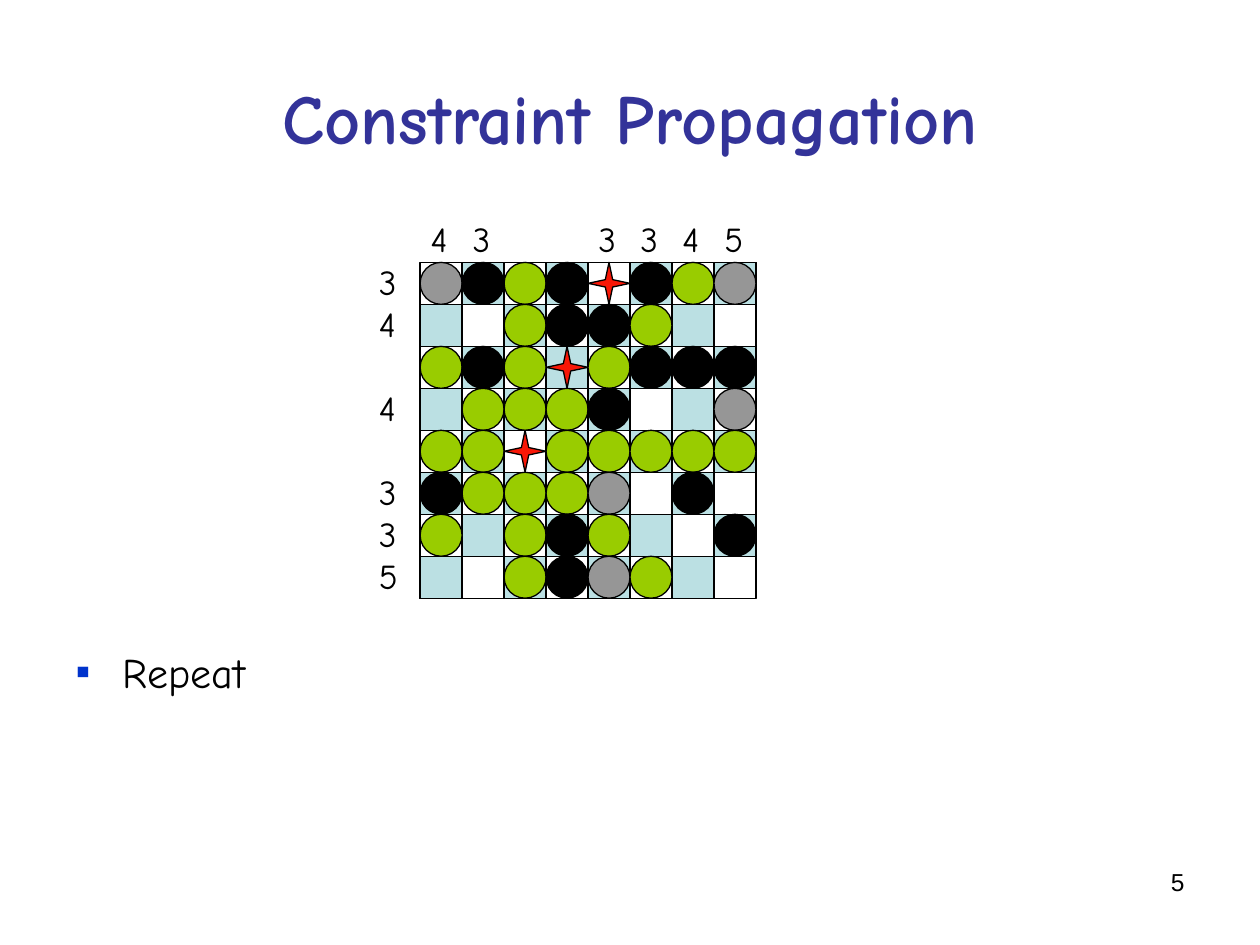
from typing import NamedTuple

from lxml import etree
from pptx import Presentation
from pptx.dml.color import RGBColor
from pptx.enum.shapes import MSO_SHAPE
from pptx.enum.text import MSO_ANCHOR, MSO_AUTO_SIZE, PP_ALIGN
from pptx.oxml.ns import qn
from pptx.util import Cm, Pt

RECT, OVAL, STAR = MSO_SHAPE.RECTANGLE, MSO_SHAPE.OVAL, MSO_SHAPE.STAR_4_POINT
LEFT, MID, RIGHT = PP_ALIGN.LEFT, PP_ALIGN.CENTER, PP_ALIGN.RIGHT
TOP, CENTER = MSO_ANCHOR.TOP, MSO_ANCHOR.MIDDLE
NO_FIT = MSO_AUTO_SIZE.NONE

HEX = {
    "black": "000000",
    "tile": "BBE0E3",
    "green": "99CC00",
    "red": "F81706",
    "gray": "969696",
    "title": "333399",
    "bullet": "0033CC",
}
FONT = "Comic Neue"
COUNT = 8
BOARD_X, BOARD_Y, BOARD = 8.47, 5.29, 6.77
CELL = BOARD / COUNT
ROW_PT = 24


class Box(NamedTuple):
    x: float
    y: float
    w: float
    h: float


class Piece(NamedTuple):
    kind: int
    hue: str


PIECES = {
    "g": Piece(OVAL, "green"),
    "b": Piece(OVAL, "black"),
    "a": Piece(OVAL, "gray"),
    "*": Piece(STAR, "red"),
}
GRID = [
    "abgb*bga",
    "..gbbg..",
    "gbg*gbbb",
    ".gggb..a",
    "gg*ggggg",
    "bggga.b.",
    "g.gbg..b",
    "..gbag..",
]
ROW_SUMS = {0: "3", 1: "4", 3: "4", 5: "3", 6: "3", 7: "5"}
COL_SUMS = {0: "4", 1: "3", 4: "3", 5: "3", 6: "4", 7: "5"}


def color(name: str) -> RGBColor:
    return RGBColor.from_string(HEX[name])


def place(shape, box: Box) -> None:
    shape.left, shape.top = Cm(box.x), Cm(box.y)
    shape.width, shape.height = Cm(box.w), Cm(box.h)


def draw(slide, kind: int, box: Box, hue: str | None):
    """Add an outlined shape; a hue of None leaves it hollow."""
    shape = slide.shapes.add_shape(kind, *(Cm(n) for n in box))
    shape.shadow.inherit = False
    if hue:
        shape.fill.solid()
        shape.fill.fore_color.rgb = color(hue)
    else:
        shape.fill.background()
    shape.line.color.rgb = color("black")
    shape.line.width = Pt(0.75)
    return shape


def cell(row: int, col: int) -> Box:
    return Box(BOARD_X + col * CELL, BOARD_Y + row * CELL, CELL, CELL)


def board(slide) -> None:
    draw(slide, RECT, Box(BOARD_X, BOARD_Y, BOARD, BOARD), None)
    spots = [(row, col) for row in range(COUNT) for col in range(COUNT)]
    for row, col in spots:
        if (row + col) % 2:
            draw(slide, RECT, cell(row, col), "tile")
    for row, col in spots:
        piece = PIECES.get(GRID[row][col])
        if piece:
            shape = draw(slide, piece.kind, cell(row, col), piece.hue)
            if piece.kind == STAR:
                shape.adjustments[0] = 0.125


def write(par, text: str, size: float, hue: str = "black",
          font: str = FONT, bold: bool = False) -> None:
    run = par.add_run()
    run.text = text
    run.font.name, run.font.size, run.font.bold = font, Pt(size), bold
    run.font.color.rgb = color(hue)


def text_box(slide, box: Box, wrap: bool = False):
    frame = slide.shapes.add_textbox(*(Cm(n) for n in box)).text_frame
    frame.word_wrap = wrap
    return frame


def row_sums(slide) -> None:
    frame = text_box(slide, Box(7.39, 5.13, 0.89, 7.04))
    last = -1
    for row, total in ROW_SUMS.items():
        par = frame.add_paragraph() if row else frame.paragraphs[0]
        par.space_before = Pt(ROW_PT * (row - last - 1))
        write(par, total, 20)
        last = row


def col_sums(slide) -> None:
    par = text_box(slide, Box(8.43, 4.27, 6.83, 1.12)).paragraphs[0]
    tabs = etree.SubElement(par._p.get_or_add_pPr(), qn("a:tabLst"))
    for col, total in COL_SUMS.items():
        if col:
            etree.SubElement(tabs, qn("a:tab"), pos=str(Cm(col * CELL)), algn="l")
        write(par, "\t" + total if col else total, 20)


def bullet(par, char: str) -> None:
    props = par._p.get_or_add_pPr()
    props.set("marL", str(Cm(0.95)))
    props.set("indent", str(Cm(-0.95)))
    tint = etree.SubElement(props, qn("a:buClr"))
    etree.SubElement(tint, qn("a:srgbClr"), val=HEX["bullet"])
    etree.SubElement(props, qn("a:buFont"), typeface="Arial")
    etree.SubElement(props, qn("a:buChar"), char=char)


def fill_holder(shape, box: Box, anchor, align):
    """Move a placeholder and return its first paragraph."""
    place(shape, box)
    frame = shape.text_frame
    frame.auto_size, frame.vertical_anchor = NO_FIT, anchor
    par = frame.paragraphs[0]
    par.alignment, par.space_before = align, Pt(0)
    return par


def main() -> None:
    deck = Presentation()
    deck.slide_width, deck.slide_height = Cm(25.4), Cm(19.05)
    slide = deck.slides.add_slide(deck.slide_layouts[1])

    head = fill_holder(slide.shapes.title, Box(1.27, 0.76, 22.86, 3.18), CENTER, MID)
    write(head, "Constraint Propagation", 40, "title", bold=True)

    board(slide)
    row_sums(slide)
    col_sums(slide)

    item = fill_holder(slide.placeholders[1], Box(1.27, 12.9, 23.5, 4.11), TOP, LEFT)
    bullet(item, "▪")
    write(item, "Repeat", 24)

    page = text_box(slide, Box(18.2, 17.35, 5.93, 1.32), wrap=True).paragraphs[0]
    page.alignment = RIGHT
    write(page, "5", 14, font="Arial")

    deck.save("out.pptx")


if __name__ == "__main__":
    main()
